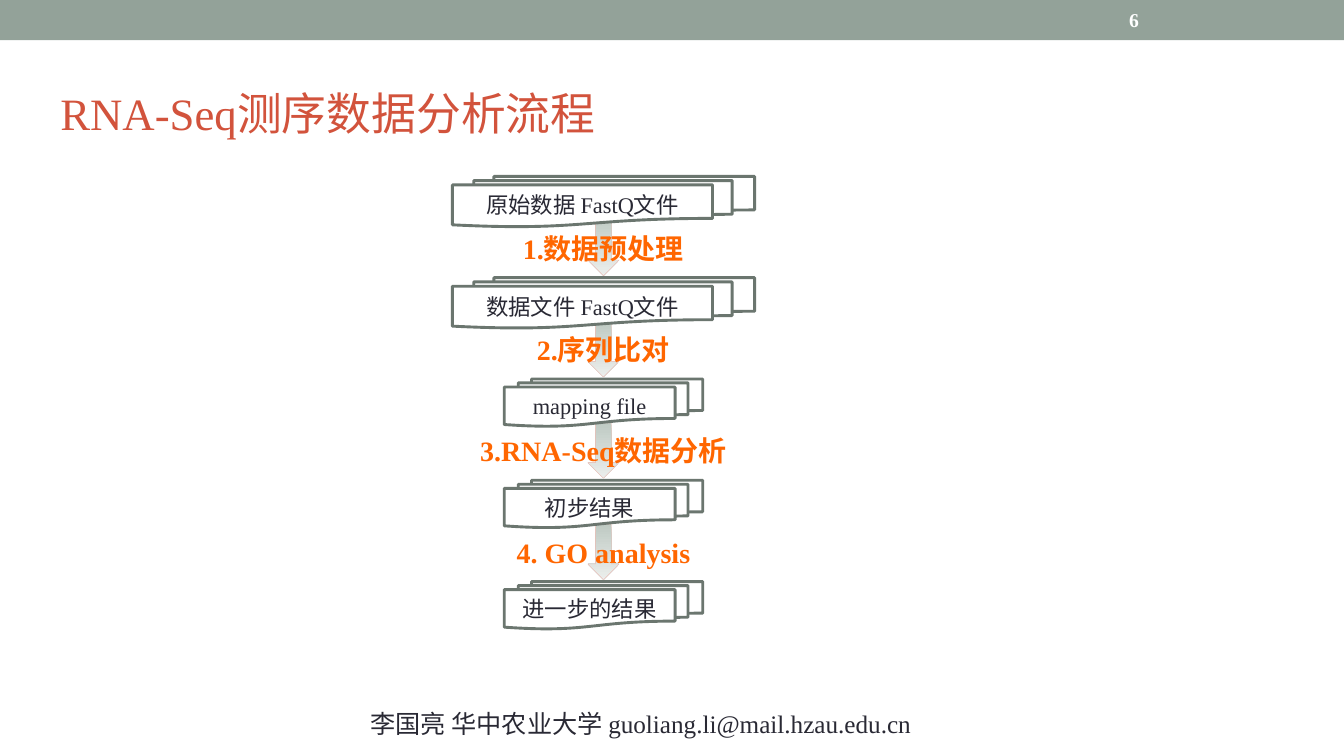
from pptx import Presentation
from pptx.dml.color import RGBColor
from pptx.enum.shapes import MSO_SHAPE as Shape
from pptx.enum.text import MSO_ANCHOR as Anchor, PP_ALIGN as Align
from pptx.util import Inches, Pt

COLORS = {
    "band": "93A299", "title": "D2533C", "text": "292934", "step": "FF6600",
    "white": "FFFFFF", "outline": "6B766F", "arrow_top": "BFCAC3",
    "arrow_bottom": "EBEEEC", "arrow_line": "EDBAB1",
}
CENTER = 5.99
FIRST_TOP = 1.75
PITCH = 1.005

DOCUMENTS = [  # text, width, height
    ("原始数据 FastQ文件", 3, 0.5),
    ("数据文件 FastQ文件", 3, 0.5),
    ("mapping file", 1.97, 0.47),
    ("初步结果", 1.97, 0.47),
    ("进一步的结果", 1.97, 0.47),
]
STEPS = ["1.数据预处理", "2.序列比对", "3.RNA-Seq数据分析", "4. GO analysis"]

deck = Presentation()
deck.slide_width = Inches(13.34)
deck.slide_height = Inches(7.5)
page = deck.slides.add_slide(deck.slide_layouts[6])


def color(name):
    return RGBColor.from_string(COLORS[name])


def write(shape, text, size, color_name, bold=False, align=Align.CENTER, anchor=Anchor.MIDDLE):
    frame = shape.text_frame
    frame.word_wrap = True
    frame.vertical_anchor = anchor
    para = frame.paragraphs[0]
    para.text = text
    para.alignment = align
    font = para.runs[0].font
    font.name = "Times New Roman"
    font.size = Pt(size)
    font.bold = bold
    font.color.rgb = color(color_name)


# Top band, page number, footer and title
band = page.shapes.add_shape(Shape.RECTANGLE, 0, 0, deck.slide_width, Inches(0.4))
band.shadow.inherit = False
band.fill.solid()
band.fill.fore_color.rgb = color("band")
band.line.fill.background()

number = page.shapes.add_textbox(Inches(11.11), Inches(0.02), Inches(1.56), Inches(0.36))
write(number, "6", 14, "white", bold=True, align=Align.LEFT)
footer = page.shapes.add_textbox(Inches(2.02), Inches(6.98), Inches(8.68), Inches(0.4))
write(footer, "李国亮 华中农业大学 guoliang.li@mail.hzau.edu.cn", 18, "text", anchor=Anchor.TOP)
title = page.shapes.add_textbox(Inches(0.5), Inches(0.58), Inches(9), Inches(1.08))
write(title, "RNA-Seq测序数据分析流程", 32, "title", align=Align.LEFT)

# Each arrow ends just above the next document and starts behind its own
for index in range(len(STEPS)):
    height = 0.6 if index == 0 else 0.55
    bottom = FIRST_TOP + (index + 1) * PITCH - 0.02
    arrow = page.shapes.add_shape(Shape.DOWN_ARROW, Inches(CENTER - 0.155),
                                  Inches(bottom - height), Inches(0.31), Inches(height))
    arrow.shadow.inherit = False
    arrow.fill.gradient()
    arrow.fill.gradient_angle = 270
    for stop, name in zip(arrow.fill.gradient_stops, ("arrow_top", "arrow_bottom")):
        stop.color.rgb = color(name)
    arrow.line.color.rgb = color("arrow_line")
    arrow.line.width = Pt(0.25)

for index, (text, width, height) in enumerate(DOCUMENTS):
    document = page.shapes.add_shape(
        Shape.FLOWCHART_MULTIDOCUMENT, Inches(CENTER - width / 2),
        Inches(FIRST_TOP + index * PITCH), Inches(width), Inches(height))
    document.shadow.inherit = False
    document.fill.solid()
    document.fill.fore_color.rgb = color("white")
    document.line.color.rgb = color("outline")
    document.line.width = Pt(2.07)
    write(document, text, 16, "text")

for index, text in enumerate(STEPS):
    top = FIRST_TOP + (index + 1) * PITCH - 0.51
    label = page.shapes.add_textbox(Inches(CENTER - 1.5), Inches(top), Inches(3), Inches(0.44))
    write(label, text, 20, "step", bold=True, anchor=Anchor.TOP)

deck.save("out.pptx")
